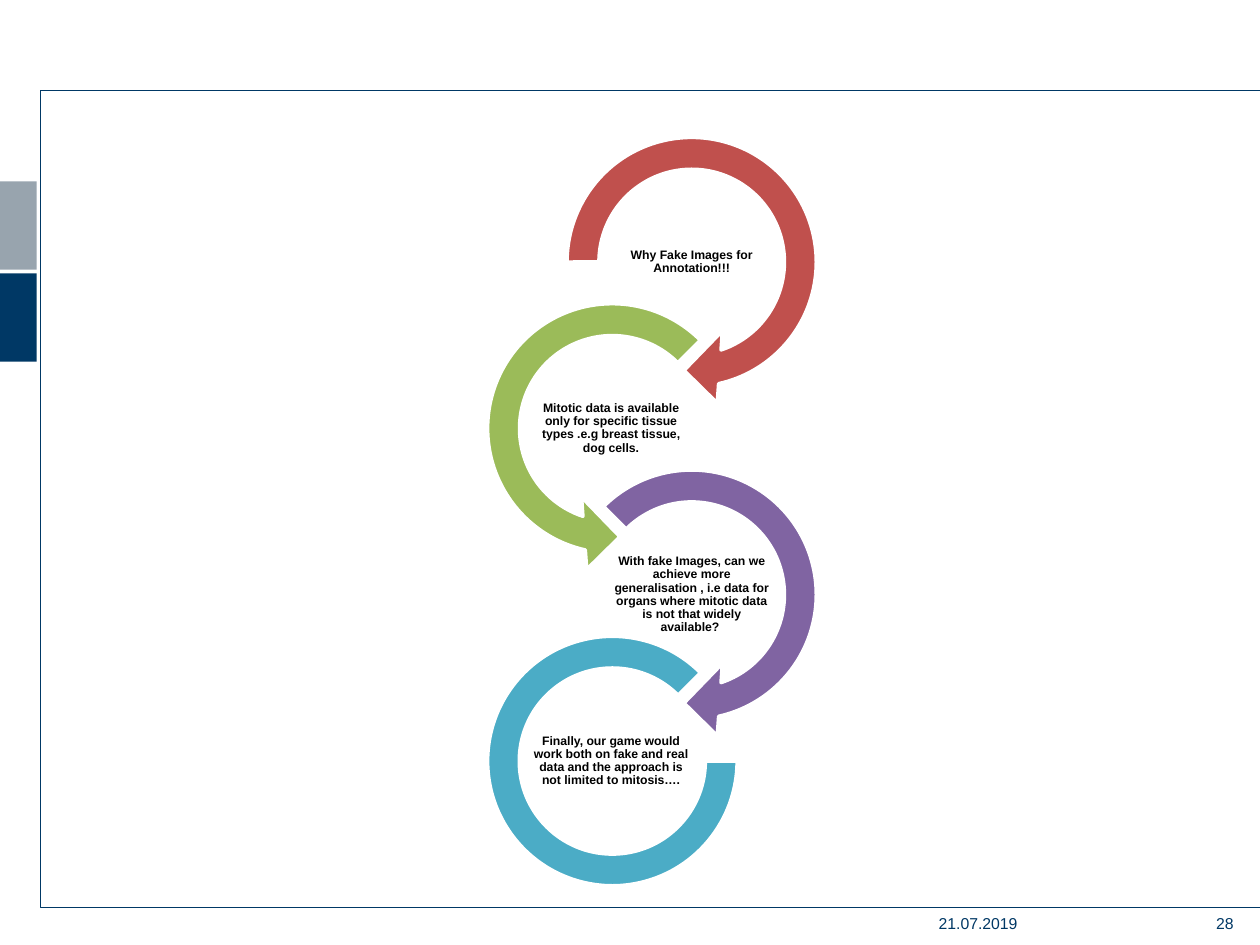
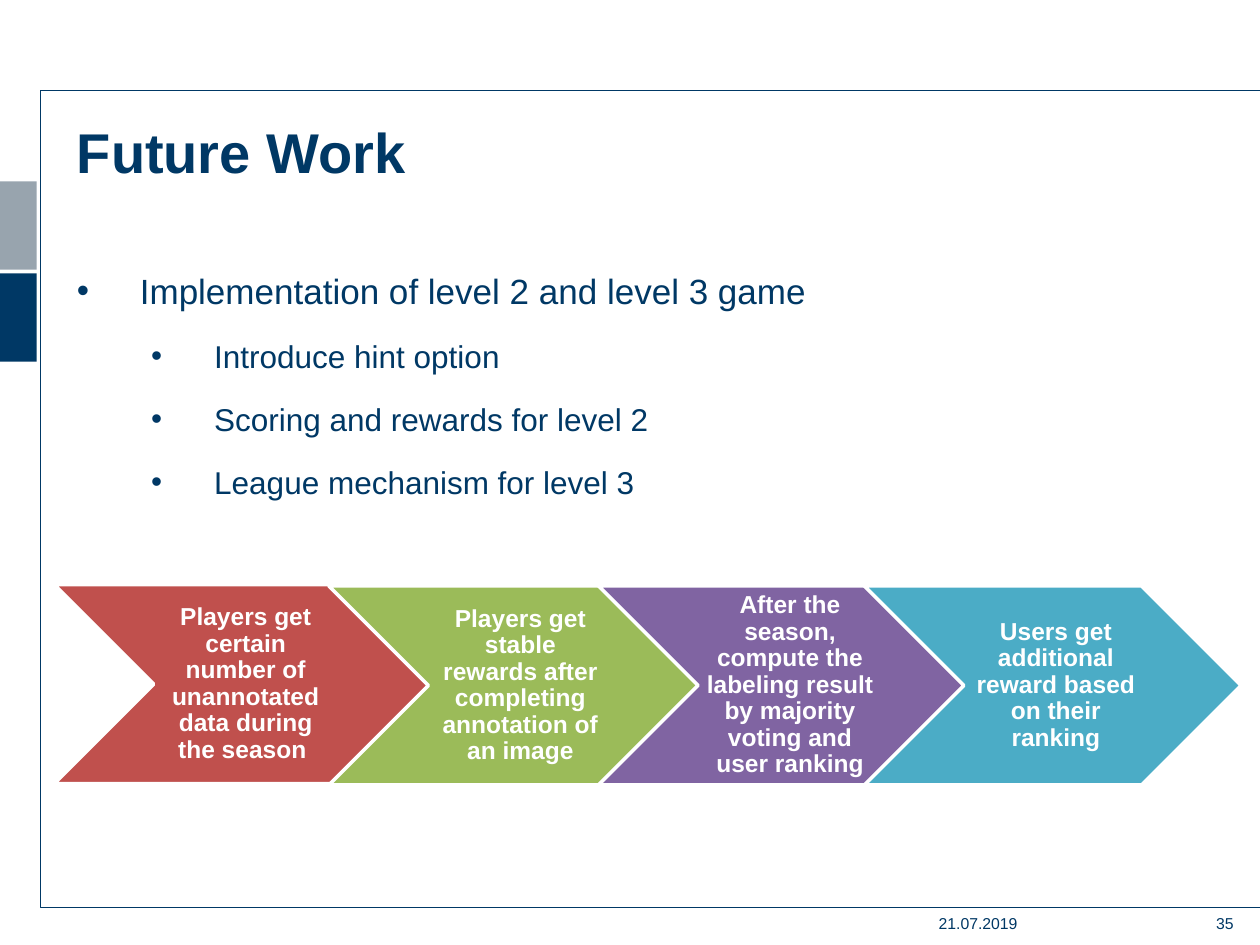
from dataclasses import dataclass

from lxml.etree import SubElement
from pptx import Presentation
from pptx.dml.color import RGBColor
from pptx.enum.shapes import MSO_SHAPE
from pptx.enum.text import MSO_ANCHOR, MSO_AUTO_SIZE, PP_ALIGN
from pptx.oxml.ns import qn
from pptx.util import Inches, Pt

NAVY = RGBColor(0x00, 0x38, 0x65)
GREY = RGBColor(0x98, 0xA4, 0xAE)
RED = RGBColor(0xC0, 0x50, 0x4D)
GREEN = RGBColor(0x9B, 0xBB, 0x59)
PURPLE = RGBColor(0x80, 0x64, 0xA2)
TEAL = RGBColor(0x4B, 0xAC, 0xC6)
WHITE = RGBColor(0xFF, 0xFF, 0xFF)
BLACK = RGBColor(0x00, 0x00, 0x00)
FONT = "Arial"
DATE = "21.07.2019"
TITLE_LAYOUT, BLANK_LAYOUT = 1, 6


@dataclass
class Box:
    left: float
    top: float
    width: float
    height: float

    def lengths(self) -> tuple:
        return tuple(Inches(v) for v in (self.left, self.top, self.width, self.height))


@dataclass
class TextStyle:
    size: float
    color: RGBColor
    bold: bool = False
    align: PP_ALIGN = PP_ALIGN.LEFT
    anchor: MSO_ANCHOR = MSO_ANCHOR.TOP
    line_spacing: float = 1.0
    margins: tuple = (0, 0, 0, 0)


@dataclass
class Ring:
    text: str
    color: RGBColor
    kind: MSO_SHAPE
    adjustments: tuple
    inset: float = 0


@dataclass
class Step:
    text: str
    color: RGBColor
    left: float
    top: float = 4.65


@dataclass
class Bullet:
    text: str
    level: int = 0


FOOTER_LEFT = TextStyle(9, NAVY)
FOOTER_RIGHT = TextStyle(9, NAVY, align=PP_ALIGN.RIGHT)
TITLE_STYLE = TextStyle(32, NAVY, bold=True)
RING_TEXT = TextStyle(7, BLACK, True, PP_ALIGN.CENTER, MSO_ANCHOR.MIDDLE, 0.9)
STEP_TEXT = TextStyle(14, WHITE, True, PP_ALIGN.CENTER, MSO_ANCHOR.MIDDLE, 0.9,
                      (0.06, 0.02, 0.02, 0.02))

RINGS = [
    Ring("Why Fake Images for Annotation!!!", RED,
         MSO_SHAPE.CIRCULAR_ARROW, (0.11, 11.42, 45, 108, 0.125)),
    Ring("Mitotic data is available only for specific tissue types .e.g breast "
         "tissue, dog cells.", GREEN,
         MSO_SHAPE.LEFT_CIRCULAR_ARROW, (0.11, 11.42, 63, 189, 0.125)),
    Ring("With fake Images, can we achieve more generalisation , i.e data for organs "
         "where mitotic data is not that widely available? ", PURPLE,
         MSO_SHAPE.CIRCULAR_ARROW, (0.11, 11.42, 45, 135, 0.125)),
    Ring("Finally, our game would work both on fake and real data and the approach "
         "is not limited to mitosis….", TEAL,
         MSO_SHAPE.BLOCK_ARC, (0, 189, 0.127), inset=0.16),
]
RING_LEFTS, RING_TEXT_LEFTS = (4.34, 3.71), (4.86, 4.22)
RING_SIZE, RING_PITCH = 2.3, 1.32

STEPS = [
    Step("Players get certain number of unannotated data during the season ",
         RED, 0.43, 4.64),
    Step("Players get stable rewards after completing annotation of an image",
         GREEN, 2.61),
    Step("After the season, compute the labeling result by majority voting and "
         "user ranking", PURPLE, 4.75),
    Step("Users get additional reward based on their ranking", TEAL, 6.86),
]

BULLETS = [
    Bullet("Implementation of level 2 and level 3 game"),
    Bullet("Introduce hint option", 1),
    Bullet("Scoring and rewards for level 2", 1),
    Bullet("League mechanism for level 3", 1),
]


def format_font(font, size: float, color: RGBColor, bold: bool) -> None:
    font.name, font.size, font.bold = FONT, Pt(size), bold
    font.color.rgb = color


def write_text(shape, text: str, style: TextStyle) -> None:
    frame = shape.text_frame
    frame.text = text
    frame.word_wrap = True
    frame.auto_size = MSO_AUTO_SIZE.NONE
    frame.vertical_anchor = style.anchor
    (frame.margin_left, frame.margin_top,
     frame.margin_right, frame.margin_bottom) = map(Inches, style.margins)
    paragraph = frame.paragraphs[0]
    paragraph.alignment = style.align
    paragraph.line_spacing = style.line_spacing
    paragraph.space_before = Pt(0)
    for run in paragraph.runs:
        format_font(run.font, style.size, style.color, style.bold)


def add_text(slide, box: Box, text: str, style: TextStyle) -> None:
    write_text(slide.shapes.add_textbox(*box.lengths()), text, style)


def add_filled(slide, kind: MSO_SHAPE, box: Box, color: RGBColor, outlined: bool = True):
    shape = slide.shapes.add_shape(kind, *box.lengths())
    shape.shadow.inherit = False
    shape.fill.solid()
    shape.fill.fore_color.rgb = color
    if outlined:
        shape.line.color.rgb = WHITE
        shape.line.width = Pt(2)
    else:
        shape.line.fill.background()
    return shape


def place(shape, box: Box) -> None:
    shape.left, shape.top, shape.width, shape.height = box.lengths()


def add_base(presentation, layout: int, number: str):
    """New slide with side bands, frame line and footer."""
    slide = presentation.slides.add_slide(presentation.slide_layouts[layout])
    for top, color in ((2.17, NAVY), (1.44, GREY)):
        add_filled(slide, MSO_SHAPE.RECTANGLE, Box(0, top, 0.29, 0.7), color, outlined=False)
    builder = slide.shapes.build_freeform(Inches(10), Inches(0.72))
    corners = [(0.32, 0.72), (0.32, 7.2), (10, 7.2)]
    builder.add_line_segments([(Inches(x), Inches(y)) for x, y in corners], close=False)
    frame_line = builder.convert_to_shape()
    frame_line.shadow.inherit = False
    frame_line.fill.background()
    frame_line.line.color.rgb = NAVY
    frame_line.line.width = Pt(0.75)
    add_text(slide, Box(7.45, 7.25, 1.18, 0.21), DATE, FOOTER_LEFT)
    add_text(slide, Box(9, 7.25, 0.79, 0.21), number, FOOTER_RIGHT)
    return slide


def add_ring(slide, index: int, ring: Ring) -> None:
    side, offset = index % 2, index * RING_PITCH
    size = RING_SIZE - 2 * ring.inset
    box = Box(RING_LEFTS[side] + ring.inset, 0.93 + offset + ring.inset, size, size)
    shape = add_filled(slide, ring.kind, box, ring.color)
    for position, value in enumerate(ring.adjustments):
        shape.adjustments[position] = value
    add_text(slide, Box(RING_TEXT_LEFTS[side], 1.76 + offset, 1.26, 0.64),
             ring.text, RING_TEXT)


def add_step(slide, step: Step) -> None:
    add_filled(slide, MSO_SHAPE.CHEVRON, Box(step.left, step.top, 2.99, 1.58), step.color)
    add_text(slide, Box(step.left + 0.79, step.top, 1.42, 1.58), step.text, STEP_TEXT)


def fill_list(body, bullets: list[Bullet]) -> None:
    frame = body.text_frame
    frame.text = "\n".join(bullet.text for bullet in bullets)
    frame.auto_size = MSO_AUTO_SIZE.NONE
    frame.margin_left = frame.margin_top = frame.margin_right = frame.margin_bottom = 0
    for paragraph, bullet in zip(frame.paragraphs, bullets):
        nested = bullet.level > 0
        paragraph.level = bullet.level
        paragraph.line_spacing = 1.5 if nested else 1.0
        paragraph.space_before = Pt(3.6 if nested else 0)
        properties = paragraph._p.get_or_add_pPr()
        properties.set("marL", str(Inches(1.09 if nested else 0.5)))
        properties.set("indent", str(Inches(-0.5)))
        SubElement(properties, qn("a:buFont"), typeface=FONT)
        SubElement(properties, qn("a:buChar"), char="•")
        for run in paragraph.runs:
            format_font(run.font, 18 if nested else 20, NAVY, False)


def build_reasons(presentation) -> None:
    slide = add_base(presentation, BLANK_LAYOUT, "28")
    for index, ring in enumerate(RINGS):
        add_ring(slide, index, ring)


def build_future_work(presentation) -> None:
    slide = add_base(presentation, TITLE_LAYOUT, "35")
    title, body = slide.shapes.title, slide.placeholders[1]
    place(title, Box(0.61, 0.93, 9.12, 0.6))
    write_text(title, "Future Work", TITLE_STYLE)
    place(body, Box(0.61, 2.14, 9.12, 2.2))
    fill_list(body, BULLETS)
    for step in STEPS:
        add_step(slide, step)


def main() -> None:
    presentation = Presentation()
    presentation.slide_width, presentation.slide_height = Inches(10), Inches(7.5)
    build_reasons(presentation)
    build_future_work(presentation)
    presentation.save("out.pptx")


if __name__ == "__main__":
    main()
